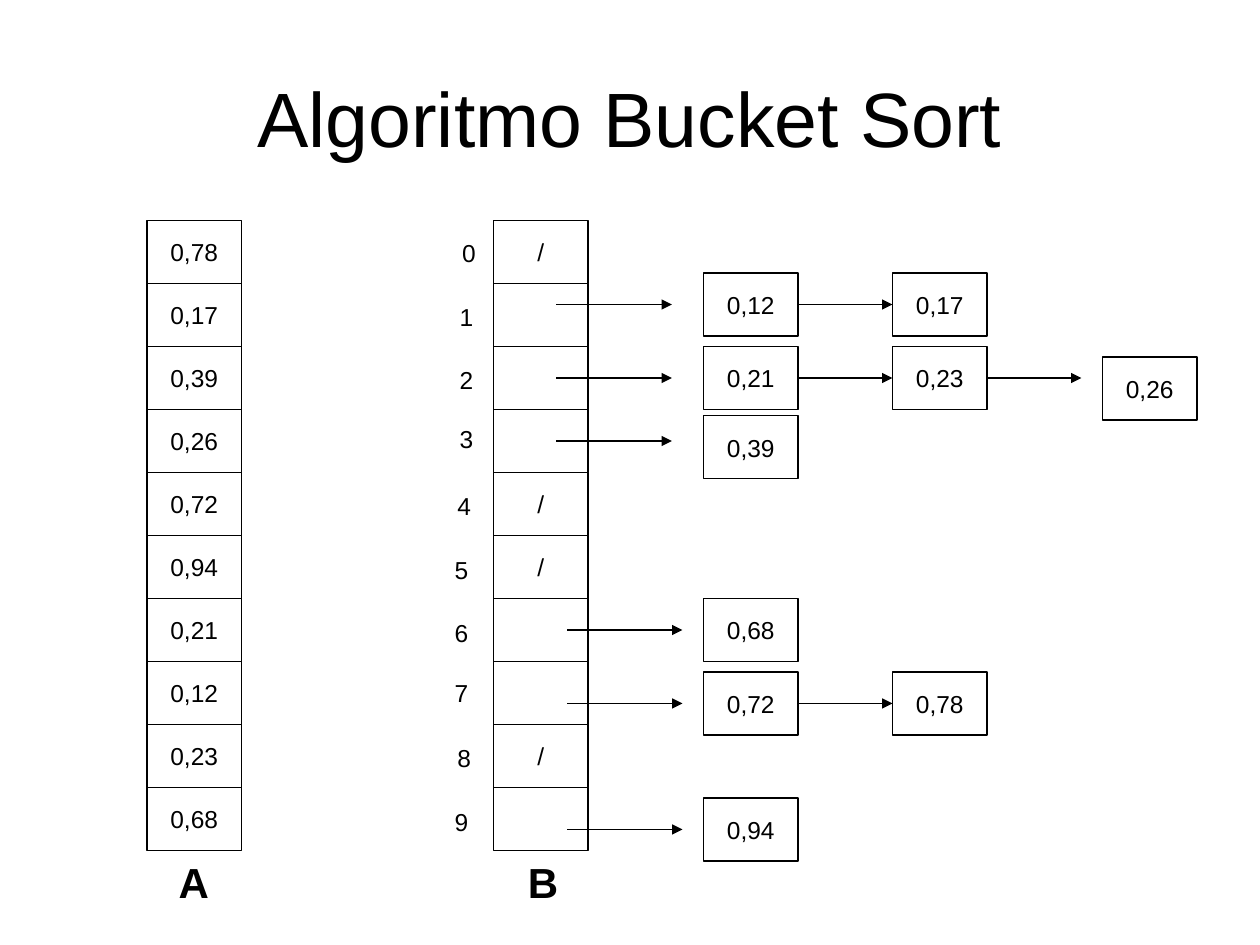
from dataclasses import dataclass

from lxml import etree
from pptx import Presentation
from pptx.dml.color import RGBColor
from pptx.enum.shapes import MSO_CONNECTOR, MSO_SHAPE
from pptx.enum.text import MSO_ANCHOR, MSO_AUTO_SIZE, PP_ALIGN
from pptx.oxml.ns import qn
from pptx.shapes.autoshape import Shape
from pptx.shapes.connector import Connector
from pptx.slide import Slide
from pptx.util import Pt

RECTANGLE = MSO_SHAPE.RECTANGLE
STRAIGHT = MSO_CONNECTOR.STRAIGHT
CENTER, LEFT = PP_ALIGN.CENTER, PP_ALIGN.LEFT
MIDDLE, TOP = MSO_ANCHOR.MIDDLE, MSO_ANCHOR.TOP
FIT_SHAPE = MSO_AUTO_SIZE.SHAPE_TO_FIT_TEXT
LEFT_SIDE, RIGHT_SIDE = 1, 3

COLORS = {"ink": "000000"}
FONT = "Arial"
CELL_WIDTH, CELL_HEIGHT = 54, 36
ARRAY_TOP = 126
NODE_LEFTS = (402, 510, 630)
POINTER_LENGTH = 66
LINE_WIDTH = 0.75


@dataclass(frozen=True)
class Array:
    name: str
    left: float
    name_left: float
    values: tuple[str, ...]


@dataclass(frozen=True)
class IndexLabel:
    left: float
    top: float


@dataclass(frozen=True)
class Bucket:
    pointer_left: float
    top: float
    values: tuple[str, ...]


ARRAYS = (
    Array("A", 84, 95, ("0,78", "0,17", "0,39", "0,26", "0,72",
                        "0,94", "0,21", "0,12", "0,23", "0,68")),
    Array("B", 282, 294.5, ("/", "", "", "", "/", "/", "", "", "/", "")),
)
INDEX_LABELS = (
    IndexLabel(257, 132.5),
    IndexLabel(255.6, 169.2),
    IndexLabel(255.6, 205.2),
    IndexLabel(255.6, 239),
    IndexLabel(254.2, 277.2),
    IndexLabel(252.7, 313.9),
    IndexLabel(252.7, 349.9),
    IndexLabel(252.7, 383.8),
    IndexLabel(254.2, 421.2),
    IndexLabel(252.7, 457.9),
)
BUCKETS = (
    Bucket(318, 156, ("0,12", "0,17")),
    Bucket(318, 198, ("0,21", "0,23")),
    Bucket(318, 237.6, ("0,39",)),
    Bucket(324, 342, ("0,68",)),
    Bucket(324, 384, ("0,72", "0,78")),
    Bucket(324, 456, ("0,94",)),
)
POINTER_YS = (174, 216, 252, 360, 402, 474)


def color(name: str) -> RGBColor:
    return RGBColor.from_string(COLORS[name])


def write(shape: Shape, text: str, size: float, align: PP_ALIGN = CENTER,
          anchor: MSO_ANCHOR = MIDDLE, bold: bool = False, wrap: bool = False) -> None:
    text_frame = shape.text_frame
    text_frame.text = text
    text_frame.word_wrap = wrap
    text_frame.vertical_anchor = anchor
    paragraph = text_frame.paragraphs[0]
    paragraph.alignment = align
    for run in paragraph.runs:
        run.font.name = FONT
        run.font.size = Pt(size)
        run.font.bold = bold
        run.font.color.rgb = color("ink")


def add_title(slide: Slide, text: str) -> None:
    title = slide.shapes.add_textbox(Pt(36), Pt(21.6), Pt(648), Pt(90))
    write(title, text, 44, wrap=True)


def add_label(slide: Slide, text: str, left: float, top: float,
              width: float, height: float, size: float, bold: bool = False) -> None:
    label = slide.shapes.add_textbox(Pt(left), Pt(top), Pt(width), Pt(height))
    write(label, text, size, LEFT, TOP, bold)
    label.text_frame.auto_size = FIT_SHAPE


def add_cell(slide: Slide, text: str, left: float, top: float) -> Shape:
    cell = slide.shapes.add_shape(
        RECTANGLE, Pt(left), Pt(top), Pt(CELL_WIDTH), Pt(CELL_HEIGHT))
    cell.shadow.inherit = False
    cell.fill.background()
    cell.line.color.rgb = color("ink")
    cell.line.width = Pt(LINE_WIDTH)
    if text:
        write(cell, text, 14)
    return cell


def add_arrow(slide: Slide, start: float, end: float, y: float) -> Connector:
    arrow = slide.shapes.add_connector(STRAIGHT, Pt(start), Pt(y), Pt(end), Pt(y))
    arrow.line.color.rgb = color("ink")
    arrow.line.width = Pt(LINE_WIDTH)
    etree.SubElement(arrow.line._get_or_add_ln(), qn("a:tailEnd"), type="triangle")
    etree.SubElement(arrow._element.spPr, qn("a:effectLst"))
    return arrow


def add_array(slide: Slide, array: Array) -> None:
    for row, value in enumerate(array.values):
        add_cell(slide, value, array.left, ARRAY_TOP + row * CELL_HEIGHT)
    bottom = ARRAY_TOP + len(array.values) * CELL_HEIGHT
    add_label(slide, array.name, array.name_left, bottom, 32, 36, 24, bold=True)


def add_bucket(slide: Slide, bucket: Bucket, pointer_y: float) -> list[Shape]:
    """Draw the pointer and its linked list, and return the list's nodes."""
    nodes = [add_cell(slide, value, left, bucket.top)
             for value, left in zip(bucket.values, NODE_LEFTS)]
    add_arrow(slide, bucket.pointer_left, bucket.pointer_left + POINTER_LENGTH, pointer_y)
    middle = bucket.top + CELL_HEIGHT / 2
    for index in range(len(nodes) - 1):
        link = add_arrow(slide, NODE_LEFTS[index] + CELL_WIDTH,
                         NODE_LEFTS[index + 1], middle)
        link.begin_connect(nodes[index], RIGHT_SIDE)
        link.end_connect(nodes[index + 1], LEFT_SIDE)
    return nodes


def main() -> None:
    presentation = Presentation()
    presentation.slide_width, presentation.slide_height = Pt(720), Pt(540)
    slide = presentation.slides.add_slide(presentation.slide_layouts[6])

    add_title(slide, "Algoritmo Bucket Sort")
    for array in ARRAYS:
        add_array(slide, array)
    for index, label in enumerate(INDEX_LABELS):
        add_label(slide, str(index), label.left, label.top, 22.3, 24.2, 14)

    chains = [add_bucket(slide, bucket, y) for bucket, y in zip(BUCKETS, POINTER_YS)]

    # The last node of bucket 2 sits a little below its chain.
    add_cell(slide, "0,26", NODE_LEFTS[2], 204)
    last_link = add_arrow(slide, NODE_LEFTS[1] + CELL_WIDTH, 618, 216)
    last_link.begin_connect(chains[1][-1], RIGHT_SIDE)

    presentation.save("out.pptx")


if __name__ == "__main__":
    main()
